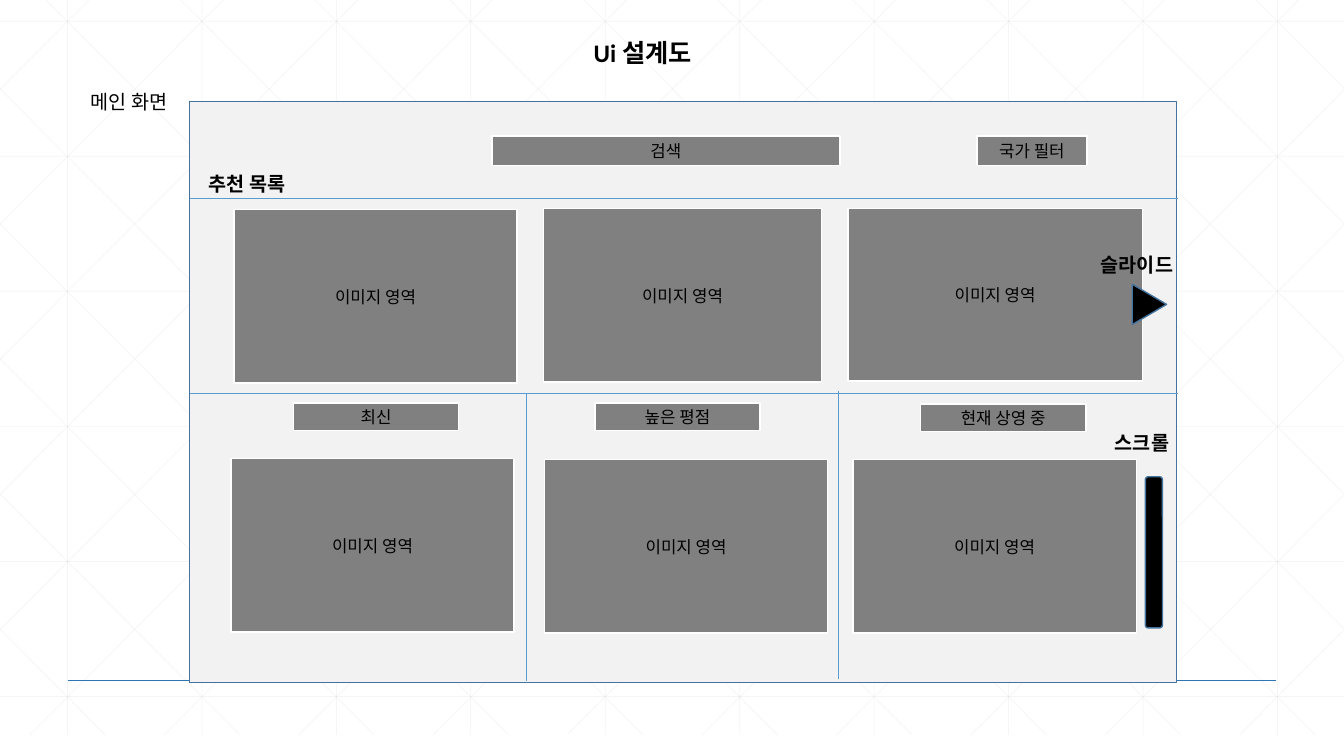
from collections import namedtuple

from lxml.etree import SubElement
from pptx import Presentation
from pptx.dml.color import RGBColor
from pptx.enum.shapes import MSO_CONNECTOR as Connector, MSO_SHAPE as Shape
from pptx.enum.text import MSO_ANCHOR as Anchor, MSO_AUTO_SIZE as AutoSize, PP_ALIGN as Align
from pptx.oxml.ns import qn
from pptx.util import Inches, Pt

Box = namedtuple("Box", "left top width height")

BLACK = "000000"
WHITE = "FFFFFF"
GRAY = "808080"
PANEL = "F2F2F2"
GRID = "D9D9D9"
OUTLINE = "43739E"
DIVIDER = "5B9BD5"
BASELINE = "2E75B6"
IMAGE_LABEL = "이미지 영역"


def color(value):
    return RGBColor.from_string(value)


def inside(box, left, top, width, height):
    return Box(box.left + left, box.top + top, width, height)


def write(frame, text, size=12, bold=False, align=Align.LEFT, anchor=Anchor.TOP):
    frame.word_wrap = True
    frame.vertical_anchor = anchor
    paragraph = frame.paragraphs[0]
    paragraph.alignment = align
    run = paragraph.add_run()
    run.text = text
    run.font.name = "Calibri"
    run.font.size = Pt(size)
    run.font.bold = bold
    run.font.color.rgb = color(BLACK)


def add_label(slide, box, text, size=14, bold=True):
    label = slide.shapes.add_textbox(*map(Inches, box))
    write(label.text_frame, text, size=size, bold=bold)
    label.text_frame.auto_size = AutoSize.SHAPE_TO_FIT_TEXT


def add_block(slide, box, kind=Shape.RECTANGLE, fill=GRAY, outline=WHITE, text=None):
    block = slide.shapes.add_shape(kind, *map(Inches, box))
    block.shadow.inherit = False
    block.fill.solid()
    block.fill.fore_color.rgb = color(fill)
    block.line.color.rgb = color(outline)
    block.line.width = Pt(1)
    if text:
        write(block.text_frame, text, align=Align.CENTER, anchor=Anchor.MIDDLE)
    return block


def add_line(slide, start, end, stroke=DIVIDER, width=0.5, alpha=None):
    line = slide.shapes.add_connector(Connector.STRAIGHT, *map(Inches, (*start, *end)))
    line.line.color.rgb = color(stroke)
    line.line.width = Pt(width)
    properties = line.element.spPr
    if alpha:
        shade = properties.find(".//" + qn("a:srgbClr"))
        SubElement(shade, qn("a:alpha")).set("val", str(alpha * 1000))
    SubElement(properties, qn("a:effectLst"))


def add_diagonal(slide, box, start, run):
    def point_at(x):
        return x, box.top + (x - start) / run * box.height

    right = box.left + box.width
    ends = [min(max(x, box.left), right) for x in (start, start + run)]
    add_line(slide, point_at(ends[0]), point_at(ends[1]), stroke=GRID, alpha=25)


def draw_background(slide, box):
    step, run = 4 / 3, 7.46
    right, bottom = box.left + box.width, box.top + box.height
    for column in range(10):
        x = box.left + 0.67 + column * step
        add_line(slide, (x, box.top), (x, bottom), stroke=GRID, alpha=25)
    for row in range(6):
        y = box.top + 0.42 + row * 1.34
        add_line(slide, (box.left, y), (right, y), stroke=GRID, alpha=25)
    for index in range(15):
        add_diagonal(slide, box, box.left + 0.25 + (index - 5) * step, run)
        add_diagonal(slide, box, box.left + 1.09 + index * step, -run)
    add_line(slide, (box.left + 0.67, box.top + 6.96), (right - 0.67, box.top + 6.96),
             stroke=BASELINE, width=1)


def draw_titles(slide, box):
    add_label(slide, inside(box, 5.79, 0.32, 2.2, 0.4), "Ui 설계도", size=18)
    add_label(slide, inside(box, 0.8, 0.84, 1.63, 0.34), "메인 화면", bold=False)


def draw_header(slide, box):
    add_block(slide, inside(box, 3, 0.34, 3.45, 0.29), text="검색")
    add_block(slide, inside(box, 7.81, 0.34, 1.09, 0.29), text="국가 필터")
    add_label(slide, inside(box, 0.09, 0.65, 2.05, 0.34), "추천 목록")


def draw_recommendations(slide, box):
    for left, top, width, height in ((0.44, 0.11, 2.81, 1.72),
                                     (3.51, 0.1, 2.76, 1.72),
                                     (6.53, 0.1, 2.92, 1.71)):
        add_block(slide, inside(box, left, top, width, height), text=IMAGE_LABEL)
    for y in (box.top, box.top + box.height):
        add_line(slide, (box.left, y), (box.left + box.width + 0.01, y))
    add_label(slide, inside(box, 8.94, 0.49, 1.44, 0.34), "슬라이드")
    arrow = add_block(slide, inside(box, 9.32, 0.88, 0.4, 0.34),
                      kind=Shape.ISOSCELES_TRIANGLE, fill=BLACK, outline=OUTLINE)
    arrow.rotation = 90


def draw_categories(slide, box):
    for name, name_left, name_top, image_left, image_top in (
            ("최신", 1.03, 0.1, 0.41, 0.65),
            ("높은 평점", 4.02, 0.1, 3.52, 0.66),
            ("현재 상영 중", 7.25, 0.11, 6.58, 0.66)):
        add_block(slide, inside(box, name_left, name_top, 1.64, 0.27), text=name)
        add_block(slide, inside(box, image_left, image_top, 2.81, 1.72), text=IMAGE_LABEL)
    for left, top in ((3.34, 0), (6.44, -0.02)):
        x, y = box.left + left, box.top + top
        add_line(slide, (x, y), (x, y + 2.86))
    add_label(slide, inside(box, 9.08, 0.33, 1.14, 0.34), "스크롤")
    add_block(slide, inside(box, 9.48, 0.83, 0.17, 1.5),
              kind=Shape.ROUNDED_RECTANGLE, fill=BLACK, outline=OUTLINE)


def draw_screen(slide, box):
    add_block(slide, box, fill=PANEL, outline=OUTLINE)
    draw_header(slide, inside(box, 0, 0, box.width, 0.96))
    draw_recommendations(slide, inside(box, 0, 0.96, box.width, 1.93))
    draw_categories(slide, inside(box, 0, 2.89, box.width, 2.87))


def main():
    deck = Presentation()
    deck.slide_width, deck.slide_height = Inches(13.33), Inches(7.5)
    slide = deck.slides.add_slide(deck.slide_layouts[6])
    draw_background(slide, Box(0, -0.21, 13.33, 7.5))
    draw_titles(slide, Box(0, 0, 13.33, 7.5))
    draw_screen(slide, Box(1.88, 1.01, 9.79, 5.76))
    deck.save("out.pptx")


if __name__ == "__main__":
    main()
